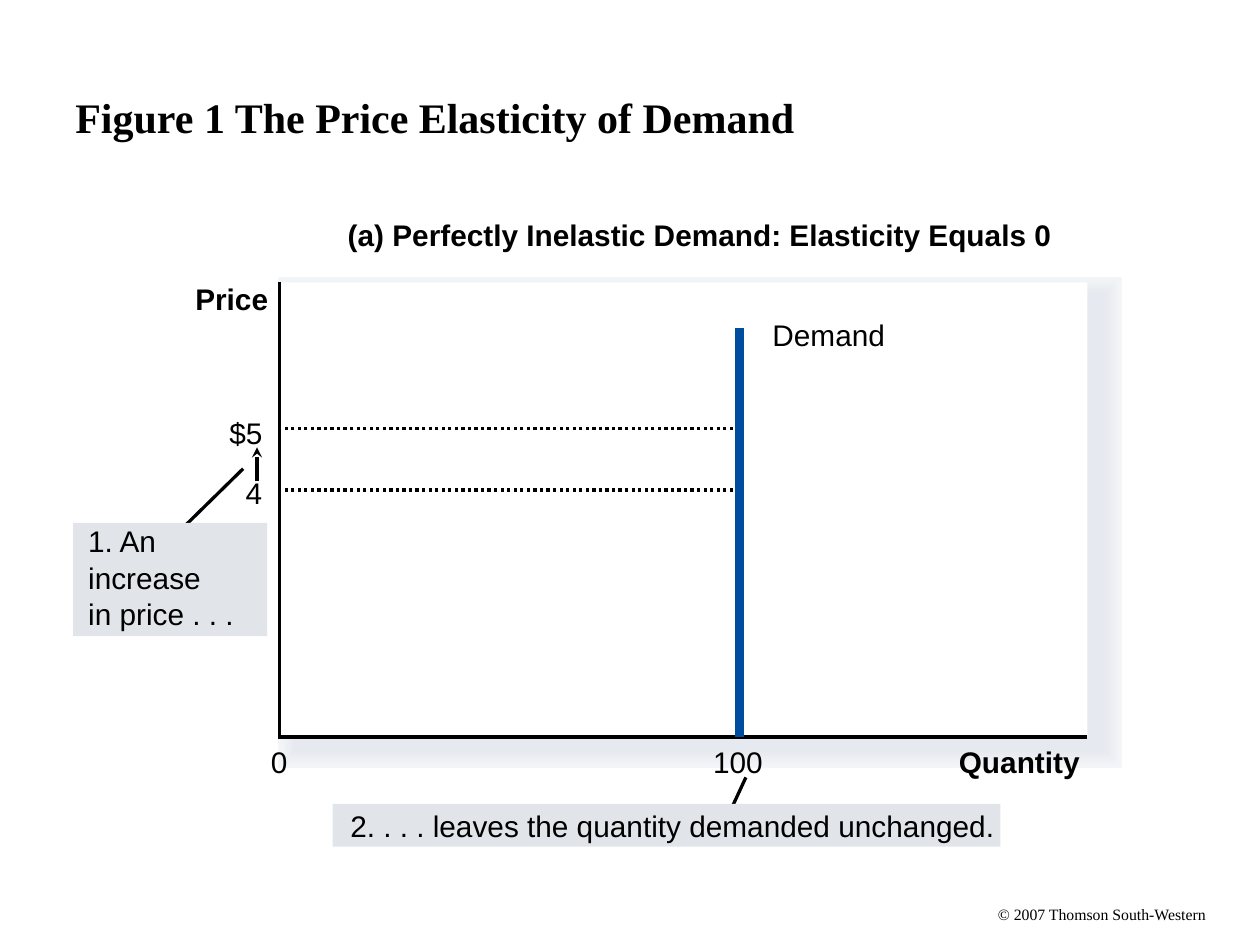
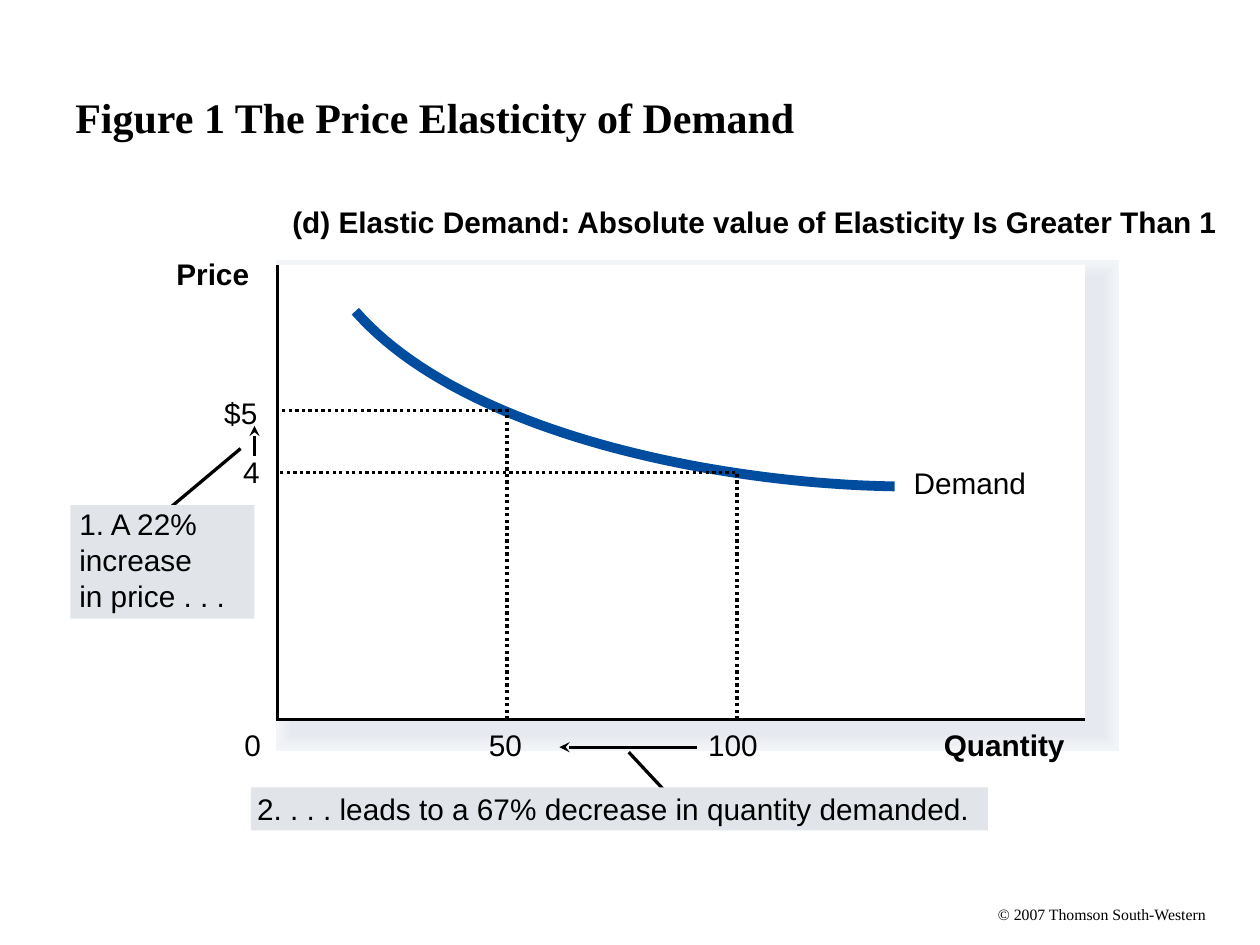
from pptx import Presentation
from pptx.dml.color import RGBColor
from pptx.enum.dml import MSO_LINE
from pptx.enum.shapes import MSO_CONNECTOR, MSO_SHAPE
from pptx.enum.text import MSO_ANCHOR, PP_ALIGN
from pptx.oxml.ns import qn
from pptx.util import Emu, Inches, Pt
from lxml.etree import SubElement

# Grid: 100 columns by 75 rows of equal size
UNIT = Inches(0.1)
COLS, ROWS = 100, 75

# Plot, in grid units from its top left corner
WIDE, HIGH = 64.1, 36.1
FIVE, FOUR = 11.6, 16.5      # heights of the two prices
FULL, HALF = 36.5, 18.25     # columns of the quantities 100 and 50
THIN, THICK = 1.87, 5.61
GLOW = ["F3F6F9", "F2F4F8", "F1F4F7", "F0F2F5", "EEF1F4", "EDEFF3",
        "EBEEF2", "EAECF1", "E9EBF0", "E7EAEF", "E6E9EF"]
BLACK, WHITE, BLUE, GREY = "000000", "FFFFFF", "004C9F", "E1E5E9"


def tint(code):
    return RGBColor.from_string(code)


def size(units):
    return Emu(round(units * UNIT))


def bend(a, b, c, d, steps=48):
    """Points along a cubic curve."""
    spots = []
    for i in range(steps + 1):
        t = i / steps
        parts = ((1 - t) ** 3, 3 * t * (1 - t) ** 2, 3 * t * t * (1 - t), t ** 3)
        spots.append(tuple(sum(k * p[n] for k, p in zip(parts, (a, b, c, d)))
                           for n in (0, 1)))
    return spots


def write(frame, text, font="Arial", pts=17, bold=False, anchor=MSO_ANCHOR.TOP,
          wrap=False, inset=0, space=None):
    """Fill a text frame; inset is the left margin in grid units."""
    frame.word_wrap = wrap
    frame.vertical_anchor = anchor
    frame.margin_left = size(inset)
    frame.margin_right = frame.margin_top = frame.margin_bottom = 0
    para = frame.paragraphs[0]
    para.text = text
    para.alignment = PP_ALIGN.LEFT
    if space:
        para.line_spacing = Pt(space)
    for run in para.runs:
        run.font.name, run.font.size, run.font.bold = font, Pt(pts), bold
        run.font.color.rgb = tint(BLACK)


def ink(shape, color=BLACK, width=THIN, dots=False):
    """Draw the outline of a shape with sharp corners."""
    line = shape.line
    line.color.rgb = tint(color)
    line.width = Pt(width)
    if dots:
        line.dash_style = MSO_LINE.ROUND_DOT
    edge = shape.element.spPr.find(qn("a:ln"))
    SubElement(edge, qn("a:miter"), lim="800000")
    return edge


class Deck:
    def __init__(self):
        self.show = Presentation()
        self.show.slide_width, self.show.slide_height = size(COLS), size(ROWS)

    def place(self, x, y):
        return size(self.left + x), size(self.top + y)

    def page(self, left, top):
        """Start a slide whose plot has its corner at left, top."""
        self.shapes = self.show.slides.add_slide(
            self.show.slide_layouts[6]).shapes
        self.left = self.top = 0
        self.label("© 2007 Thomson South-Western", 79.2, 71.8, 16.6, 1.5,
                   font="Times New Roman", pts=9)
        self.label("Figure 1 The Price Elasticity of Demand", 5, 3, 90, 12.5,
                   font="Times New Roman", pts=24, bold=True, wrap=True,
                   anchor=MSO_ANCHOR.MIDDLE, inset=1)
        self.left, self.top = left, top

    def label(self, text, x, y, w, h=2.8, **form):
        box = self.shapes.add_textbox(*self.place(x, y), size(w), size(h))
        write(box.text_frame, text, **form)

    def rect(self, x, y, w, h, fill, edge=0):
        box = self.shapes.add_shape(MSO_SHAPE.RECTANGLE, *self.place(x, y),
                                    size(w), size(h))
        box.shadow.inherit = False
        box.fill.solid()
        box.fill.fore_color.rgb = tint(fill)
        if edge:
            ink(box, fill, edge)
        else:
            box.line.fill.background()
        return box

    def line(self, start, end, arrow=False, **look):
        link = self.shapes.add_connector(
            MSO_CONNECTOR.STRAIGHT, *self.place(*start), *self.place(*end))
        edge = ink(link, **look)
        if arrow:
            SubElement(edge, qn("a:tailEnd"), type="stealth")
        SubElement(link.element.spPr, qn("a:effectLst"))

    def trace(self, spots, **look):
        first, *rest = [self.place(*spot) for spot in spots]
        pen = self.shapes.build_freeform(*first)
        pen.add_line_segments(rest, close=False)
        form = pen.convert_to_shape()
        form.shadow.inherit = False
        form.fill.background()
        ink(form, **look)

    def plot(self, drop):
        """White panel with a soft shadow and two axes."""
        for i, shade in enumerate(GLOW):
            self.rect(1.3, drop, WIDE, HIGH, shade, 1.875 * (len(GLOW) - i))
        self.rect(0, 0, WIDE, HIGH, WHITE)
        self.trace([(0, 0), (0, HIGH), (WIDE, HIGH)])

    def note(self, text, x, y, w, h, start, end, **form):
        """Grey callout over the foot of its leader line."""
        self.line(start, end)
        write(self.rect(x, y, w, h, GREY).text_frame, text, **form)


def main():
    deck = Deck()
    tall = dict(space=20.6)
    flat = dict(anchor=MSO_ANCHOR.MIDDLE)

    # Perfectly inelastic demand
    deck.page(22.2, 22.4)
    deck.plot(1)
    deck.line((-1.8, 15.8), (-1.8, 13.1), arrow=True)
    deck.label("(a) Perfectly Inelastic Demand: Elasticity Equals 0",
               5.4, -5.2, 55.9, bold=True)
    for price in (FIVE, FOUR):
        deck.line((FULL, price), (0, price), dots=True)
    deck.line((FULL, HIGH), (FULL, 3.6), color=BLUE, width=THICK)
    deck.label("$5", -4, 10.5, 3)
    deck.label("4", -2.7, 15.3, 1.5)
    deck.label("Demand", 39.1, 2.7, 9.2)
    for text, x, w in (("0", -0.7, 1.5), ("100", 34.4, 4.2)):
        deck.label(text, x, 36.6, w)
    deck.label("Quantity", 53.9, 36.6, 9.8, bold=True)
    deck.label("Price", -6.7, -0.1, 6, bold=True)
    deck.note("1. An\vincrease\vin price . . .", -16.4, 19.1, 15.4, 9,
              (-8.1, 19.9), (-2.9, 14.8), inset=1.2, **tall)
    deck.note("2. . . . leaves the quantity demanded unchanged.",
              4.2, 41.4, 53, 3.4, (35.7, 42.1), (37, 39.3), inset=1.4, **flat)

    # Elastic demand
    deck.page(22, 21)
    deck.plot(1.1)
    deck.line((-1.8, 15.2), (-1.8, 12.8), arrow=True)
    deck.line((33.3, 38.3), (22.4, 38.3), arrow=True)
    deck.label("(d) Elastic Demand: Absolute value of Elasticity Is Greater Than 1",
               1.2, -4.8, 73.7, bold=True)
    deck.trace(bend((6.2, 3.7), (14.8, 13.5), (35.2, 17.4), (49, 17.6)),
               color=BLUE, width=THICK)
    for amount, price in ((FULL, FOUR), (HALF, FIVE)):
        deck.trace([(amount, HIGH), (amount, price), (0, price)], dots=True)
    deck.label("$5", -4.2, 10.3, 3)
    deck.label("4", -2.7, 15, 1.5)
    deck.label("Demand", 50.5, 15.9, 9.2)
    for text, x, w in (("0", -2.6, 1.5), ("50", 16.8, 3), ("100", 34.2, 4.2)):
        deck.label(text, x, 36.7, w)
    deck.label("Quantity", 52.9, 36.7, 9.8, bold=True)
    deck.label("Price", -8, -0.7, 6, bold=True)
    deck.note("1. A 22%\vincrease\vin price . . .", -16.4, 19.1, 14.6, 9,
              (-9.1, 19.8), (-2.9, 14.6), inset=0.7, **tall)
    deck.note("2. . . . leads to a 67% decrease in quantity demanded.",
              -2.1, 41.5, 58.5, 3.4, (30.7, 41.7), (27.9, 38.7), inset=0.5, **flat)

    deck.show.save("out.pptx")


if __name__ == "__main__":
    main()
